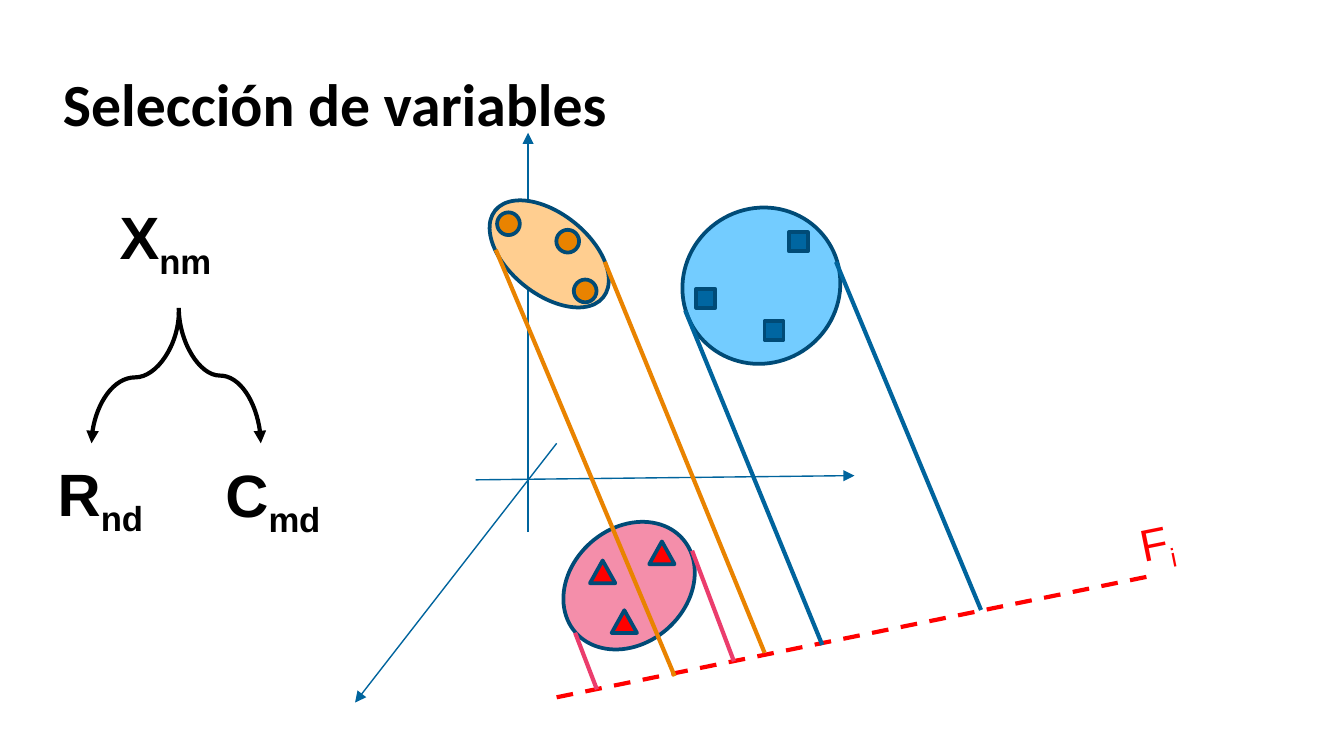
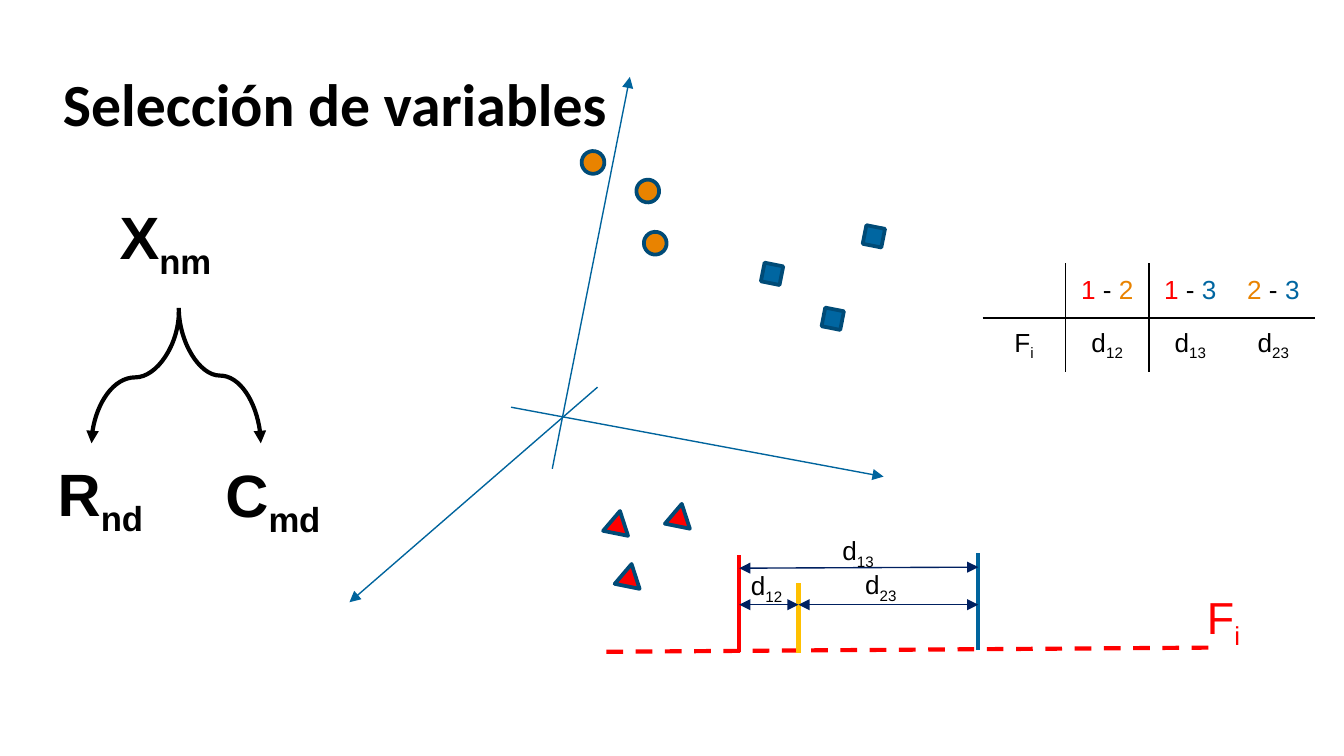
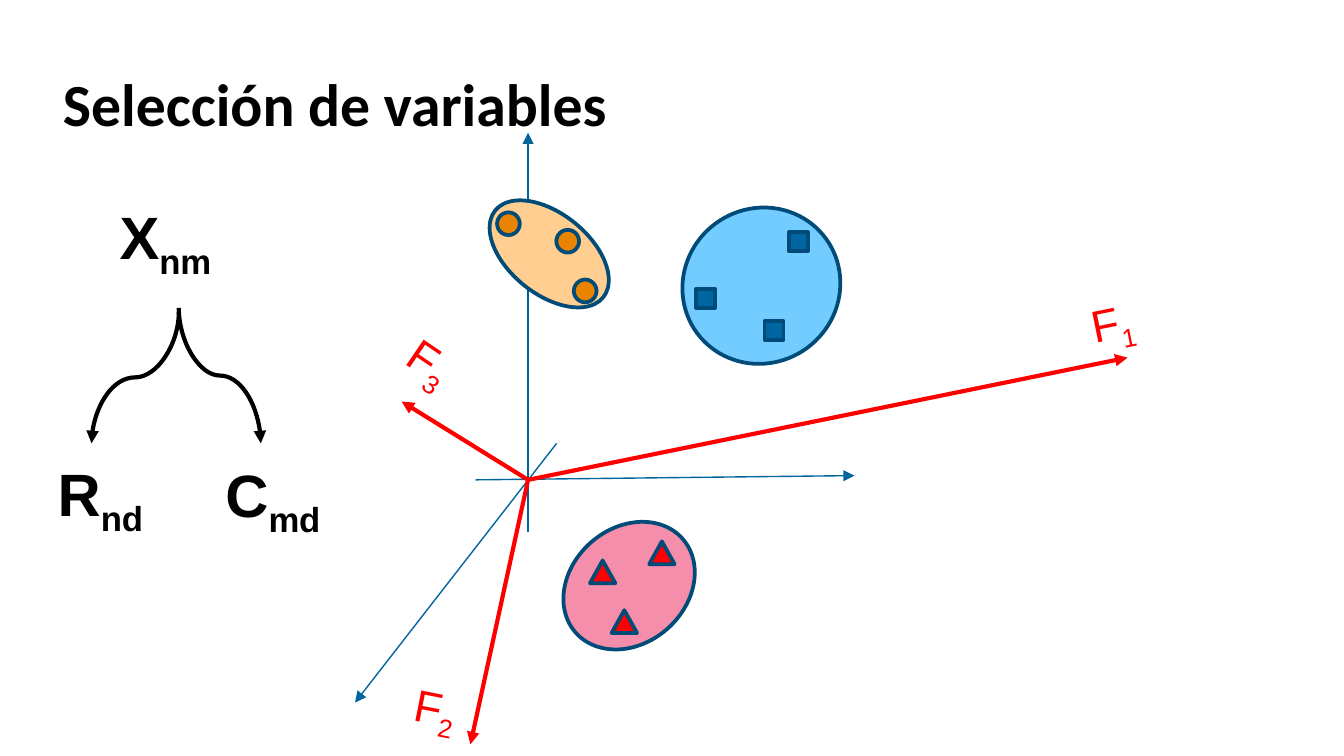
import math
from typing import Any, NamedTuple

from lxml import etree
from pptx import Presentation, util as u
from pptx.dml.color import RGBColor
from pptx.enum import dml, shapes as kinds, text
from pptx.oxml.ns import qn

BLACK, RED, ORANGE, BLUE, YELLOW = "000000", "FF0000", "E98300", "0066A1", "FFC000"
AXIS, OUTLINE, PINK, NAVY = "00649D", "004B77", "EB3D6D", "002060"
OVAL = kinds.MSO_SHAPE.OVAL
SQUARE = kinds.MSO_SHAPE.RECTANGLE
TRIANGLE = kinds.MSO_SHAPE.ISOSCELES_TRIANGLE

Point = tuple[float, float]
ORIGIN: Point = (9.98, 9.07)


class Stroke(NamedTuple):
    start: Point
    end: Point
    color: str
    width: float = 2.25
    head: bool = False
    tail: bool = False
    dashed: bool = False


class Blob(NamedTuple):
    """A filled shape placed by its centre."""
    kind: Any
    center: Point
    size: Point
    fill: str
    angle: float = 0


class Label(NamedTuple):
    """A letter with its subscript."""
    base: str
    sub: str
    box: tuple[float, float, float, float]
    size: float
    color: str = BLACK
    bold: bool = False
    angle: float = 0


class Pose(NamedTuple):
    """Where the axes cross and how far the scene is turned."""
    origin: Point = ORIGIN
    angle: float = 0

    def place(self, point: Point) -> Point:
        dx, dy = point[0] - ORIGIN[0], point[1] - ORIGIN[1]
        cos, sin = math.cos(math.radians(self.angle)), math.sin(math.radians(self.angle))
        return self.origin[0] + dx * cos - dy * sin, self.origin[1] + dx * sin + dy * cos


AXES = [
    Stroke(start, end, AXIS, 0.75, tail=True)
    for start, end in [
        ((9.98, 10.06), (9.98, 2.51)),
        ((8.99, 9.07), (16.15, 8.99)),
        ((10.52, 8.38), (6.71, 13.28)),
    ]
]
CLUSTERS = [
    Blob(OVAL, (11.89, 11.07), (2.69, 2.18), "F48EAA", 319),
    Blob(OVAL, (10.38, 4.8), (2.62, 1.52), "FFCE90", 38.8),
    Blob(OVAL, (14.39, 5.4), (3.02, 2.92), "73CCFF", 323.7),
]
SAMPLES = [
    Blob(kind, center, size, fill)
    for kind, size, fill, centers in [
        (SQUARE, (0.36, 0.36), BLUE, [(15.09, 4.57), (13.34, 5.64), (14.63, 6.25)]),
        (TRIANGLE, (0.48, 0.43), RED, [(11.39, 10.81), (11.8, 11.75), (12.51, 10.45)]),
        (OVAL, (0.43, 0.43), ORANGE, [(10.73, 4.56), (11.06, 5.5), (9.61, 4.23)]),
    ]
    for center in centers
]
MATRICES = [
    Label("X", "nm", (2.01, 3.66, 2.41, 1.63), 32, bold=True),
    Label("R", "nd", (0.84, 8.51, 2.26, 1.63), 32, bold=True),
    Label("C", "md", (4.01, 8.53, 2.49, 1.63), 32, bold=True),
]


def rgb(color: str) -> RGBColor:
    return RGBColor.from_string(color)


def apply(target: Any, values: dict[str, Any]) -> None:
    for name, value in values.items():
        setattr(target, name, value)


def add_run(paragraph, words: str, size: float, color: str = BLACK, bold: bool = False,
            font: str = "Arial", subscript: bool = False) -> None:
    run = paragraph.add_run()
    run.text = words
    apply(run.font, {"name": font, "size": u.Pt(size), "bold": bold})
    run.font.color.rgb = rgb(color)
    if subscript:
        run.font._element.set("baseline", "-25000")


def finish_connector(connector, stroke: Stroke) -> None:
    """Colour the line, add its arrowheads and remove its shadow."""
    line = connector.line
    line.color.rgb = rgb(stroke.color)
    line.width = u.Pt(stroke.width)
    if stroke.dashed:
        line.dash_style = dml.MSO_LINE.DASH
    properties = connector.element.spPr
    for tag, wanted in (("a:headEnd", stroke.head), ("a:tailEnd", stroke.tail)):
        if wanted:
            etree.SubElement(properties.find(qn("a:ln")), qn(tag), type="triangle")
    etree.SubElement(properties, qn("a:effectLst"))


def draw_stroke(shapes, stroke: Stroke) -> None:
    ends = [u.Cm(value) for value in (*stroke.start, *stroke.end)]
    finish_connector(shapes.add_connector(kinds.MSO_CONNECTOR.STRAIGHT, *ends), stroke)


def draw_branch(shapes, stroke: Stroke) -> None:
    """Draw an S-curve that leaves downwards: a sideways curve given a quarter turn."""
    (x1, y1), (x2, y2) = stroke.start, stroke.end
    middle_x, middle_y = (x1 + x2) / 2, (y1 + y2) / 2
    rightward = x2 > x1
    reach = (y2 - y1) / 2 * (1 if rightward else -1)
    rise = abs(x2 - x1) / 2
    ends = (middle_x + reach, middle_y - rise, middle_x - reach, middle_y + rise)
    connector = shapes.add_connector(kinds.MSO_CONNECTOR.CURVE, *map(u.Cm, ends))
    connector.element.spPr.find(qn("a:xfrm")).set("rot", str((270 if rightward else 90) * 60000))
    finish_connector(connector, stroke)


def draw_blob(shapes, blob: Blob) -> None:
    (x, y), (width, height) = blob.center, blob.size
    box = (x - width / 2, y - height / 2, width, height)
    shape = shapes.add_shape(blob.kind, *map(u.Cm, box))
    shape.rotation = blob.angle
    shape.shadow.inherit = False
    shape.fill.solid()
    shape.fill.fore_color.rgb = rgb(blob.fill)
    shape.line.color.rgb = rgb(OUTLINE)
    shape.line.width = u.Pt(2)


def draw_label(shapes, label: Label) -> None:
    shape = shapes.add_textbox(*map(u.Cm, label.box))
    shape.rotation = label.angle
    apply(shape.text_frame, {"word_wrap": False, "auto_size": text.MSO_AUTO_SIZE.SHAPE_TO_FIT_TEXT})
    paragraph = shape.text_frame.paragraphs[0]
    add_run(paragraph, label.base, label.size, label.color, label.bold)
    add_run(paragraph, label.sub, label.size, label.color, label.bold, subscript=True)


def draw_scene(slide, pose: Pose = Pose(), clustered: bool = True) -> None:
    """Draw the axes and samples in the given pose, with the clusters if wanted."""
    shapes = slide.shapes.add_group_shape().shapes
    for axis in AXES:
        draw_stroke(shapes, axis._replace(start=pose.place(axis.start), end=pose.place(axis.end)))
    for blob in (CLUSTERS if clustered else []) + SAMPLES:
        draw_blob(shapes, blob._replace(center=pose.place(blob.center), angle=blob.angle + pose.angle))


def add_base_slide(presentation):
    """Add a slide with the title and the matrix decomposition."""
    slide = presentation.slides.add_slide(presentation.slide_layouts[6])
    title = slide.shapes.add_textbox(u.Cm(0.94), u.Cm(1.02), u.Cm(23.67), u.Cm(1.6))
    margins = {f"margin_{side}": u.Cm(0.25) for side in ("left", "right", "top", "bottom")}
    apply(title.text_frame, {"word_wrap": True, **margins})
    add_run(title.text_frame.paragraphs[0], "Selección de variables", 32, bold=True, font="Calibri")
    for label in MATRICES:
        draw_label(slide.shapes, label)
    draw_branch(slide.shapes, Stroke((3.38, 5.82), (4.93, 8.38), BLACK, tail=True))
    draw_branch(slide.shapes, Stroke((3.38, 5.89), (1.73, 8.38), BLACK, tail=True))
    return slide


def add_projection_slide(presentation) -> None:
    slide = add_base_slide(presentation)
    draw_scene(slide)
    draw_stroke(slide.shapes, Stroke((10.52, 13.18), (21.84, 10.87), RED, dashed=True))
    for color, start, end in [
        (PINK, (10.87, 11.96), (11.28, 13.03)),
        (PINK, (13.08, 10.41), (13.87, 12.5)),
        (ORANGE, (9.37, 4.72), (12.75, 12.78)),
        (ORANGE, (11.43, 4.95), (14.45, 12.34)),
        (AXIS, (12.95, 5.87), (15.54, 12.19)),
        (AXIS, (15.8, 4.95), (18.54, 11.53)),
    ]:
        draw_stroke(slide.shapes, Stroke(start, end, color))
    draw_label(slide.shapes, Label("F", "i", (21.29, 9.6, 1.17, 1.27), 24, RED, angle=348.6))


def add_border(cell, tag: str) -> None:
    line = etree.Element(qn(tag), w=str(u.Pt(1)))
    fill = etree.SubElement(line, qn("a:solidFill"))
    etree.SubElement(fill, qn("a:srgbClr"), val=BLACK)
    properties = cell._tc.get_or_add_tcPr()
    borders = [child for child in properties if child.tag.startswith(qn("a:ln"))]
    properties.insert(len(borders), line)


def add_distance_table(slide) -> None:
    group_colors = {"1": RED, "2": ORANGE, "3": BLUE}
    pairs = ["12", "13", "23"]
    frame = slide.shapes.add_table(2, 4, u.Cm(18.57), u.Cm(4.98), u.Cm(6.28), u.Cm(2.06))
    table = frame.table
    apply(table, {"first_row": False, "horz_banding": False})
    no_grid = "{2D5ABB26-0587-4C30-8999-92F81FD0307C}"
    table._tbl.tblPr.find(qn("a:tableStyleId")).text = no_grid
    for row in range(2):
        for column in range(4):
            cell = table.cell(row, column)
            cell.fill.background()
            cell.vertical_anchor = text.MSO_ANCHOR.MIDDLE
            if column < 2:
                add_border(cell, "a:lnL" if column else "a:lnR")
            add_border(cell, "a:lnT" if row else "a:lnB")
            paragraph = cell.text_frame.paragraphs[0]
            paragraph.alignment = text.PP_ALIGN.CENTER
            if row:
                add_run(paragraph, "d" if column else "F", 14)
                add_run(paragraph, pairs[column - 1] if column else "i", 14, subscript=True)
            elif column:
                first, second = pairs[column - 1]
                add_run(paragraph, first, 14, group_colors[first])
                add_run(paragraph, " - ", 14)
                add_run(paragraph, second, 14, group_colors[second])


def add_distance_slide(presentation) -> None:
    slide = add_base_slide(presentation)
    draw_scene(slide, Pose((10.63, 7.89), 11.2), clustered=False)
    draw_stroke(slide.shapes, Stroke((11.46, 12.32), (23.01, 12.24), RED, dashed=True))
    first, second, third = 13.97, 15.09, 18.49
    for x, bottom, top, color in [
        (first, 12.32, 10.49, RED),
        (second, 12.34, 11.02, YELLOW),
        (third, 12.29, 10.46, AXIS),
    ]:
        draw_stroke(slide.shapes, Stroke((x, bottom), (x, top), color))
    for start, end, sub, left, top in [
        ((second, 11.43), (third, 11.43), "23", 16.1, 10.62),
        ((first, 11.43), (second, 11.43), "12", 13.94, 10.64),
        ((first, 10.74), (third, 10.72), "13", 15.67, 9.98),
    ]:
        draw_stroke(slide.shapes, Stroke(start, end, NAVY, 0.75, head=True, tail=True))
        draw_label(slide.shapes, Label("d", sub, (left, top, 1.17, 0.86), 14))
    draw_label(slide.shapes, Label("F", "i", (22.56, 11.02, 1.17, 1.27), 24, RED))
    add_distance_table(slide)


def add_factor_slide(presentation) -> None:
    slide = add_base_slide(presentation)
    draw_scene(slide)
    for sub, tip, left, top, angle in [
        ("1", (21.31, 6.76), 20.37, 5.44, 348.6),
        ("2", (8.89, 14.07), 7.59, 12.73, 11.2),
        ("3", (7.59, 7.59), 7.49, 6.2, 34.2),
    ]:
        draw_stroke(slide.shapes, Stroke(ORIGIN, tip, RED, tail=True))
        draw_label(slide.shapes, Label("F", sub, (left, top, 1.35, 1.27), 24, RED, angle=angle))


def main() -> None:
    presentation = Presentation()
    apply(presentation, {"slide_width": u.Cm(25.4), "slide_height": u.Cm(14.29)})
    add_projection_slide(presentation)
    add_distance_slide(presentation)
    add_factor_slide(presentation)
    presentation.save("out.pptx")


if __name__ == "__main__":
    main()
